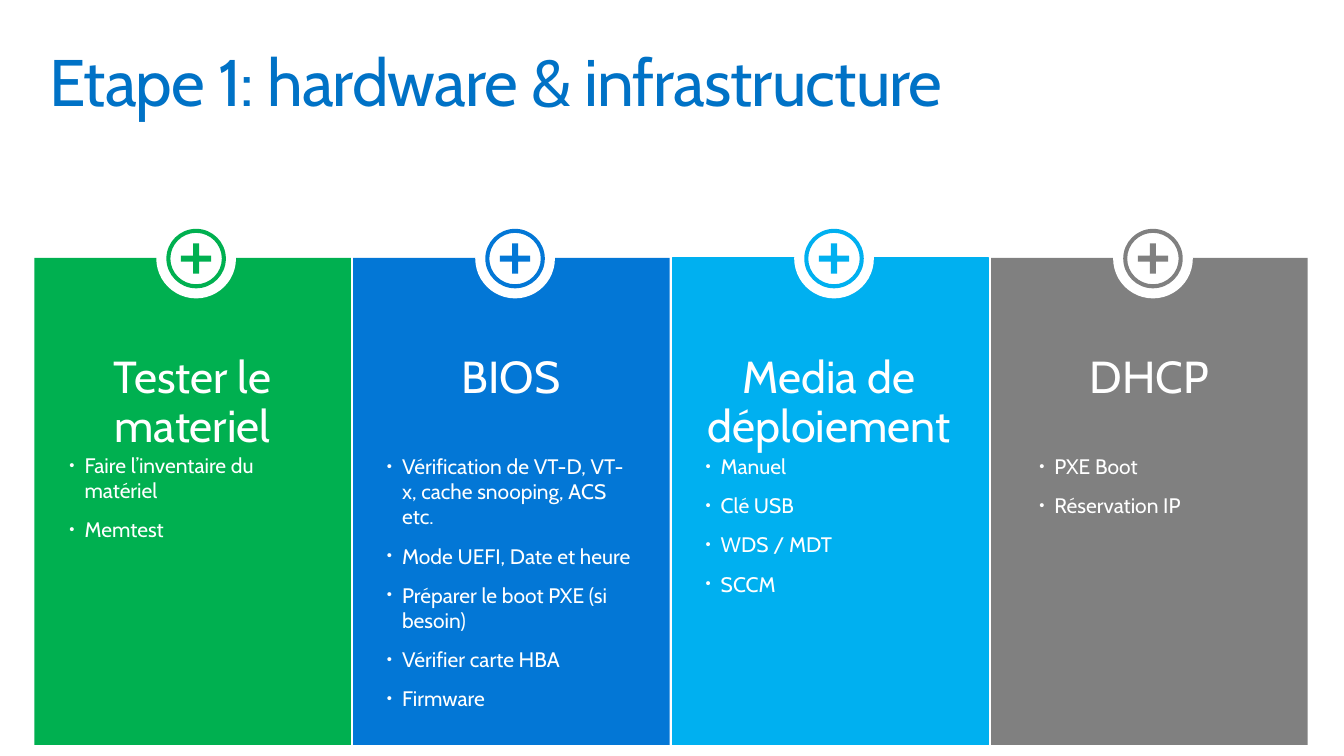
import pptx
import pptx.dml.color
import pptx.enum.shapes
import pptx.enum.text
import pptx.oxml.ns
import pptx.util
from lxml import etree

inch = pptx.util.Inches
qn = pptx.oxml.ns.qn
kind = pptx.enum.shapes.MSO_SHAPE
fit = pptx.enum.text.MSO_AUTO_SIZE


def paint(part, code):
    """Give a fill, line or font part a solid colour."""
    if hasattr(part, "solid"):
        part.solid()
        part.fore_color.rgb = pptx.dml.color.RGBColor.from_string(code)
    else:
        part.color.rgb = pptx.dml.color.RGBColor.from_string(code)


def write(box, lines, size, code):
    """Write one paragraph per line and return the paragraphs."""
    frame = box.text_frame
    frame.word_wrap = True
    for n, line in enumerate(lines):
        para = frame.paragraphs[0] if n == 0 else frame.add_paragraph()
        run = para.add_run()
        run.text = line
        run.font.name = "Cabin"
        run.font.size = pptx.util.Pt(size)
        paint(run.font, code)
    return frame.paragraphs


deck = pptx.Presentation()
deck.slide_width = inch(13.33)
deck.slide_height = inch(7.5)
slide = deck.slides.add_slide(deck.slide_layouts[6])
shapes = slide.shapes

# Title
box = shapes.add_textbox(inch(0.39), inch(0.39), inch(12.55), inch(0.88))
frame = box.text_frame
frame.margin_left = frame.margin_right = inch(0.1)
frame.margin_top = frame.margin_bottom = inch(0.1)
para = write(box, ["Etape 1: hardware & infrastructure"], 47, "0072C6")[0]
para.line_spacing = 0.9
para.runs[0].font._element.set("spc", "-65")

# Column grid: first edge, step, width; top of the panels
left, wide = 0.34, 3.14
step = (9.83 - left) / 3
top, high = 2.56, 4.83
disc, hub = 0.79, 2.565
outer, inner, arm, half = 0.295, 0.255, 0.15, 0.03

# Slot, heading, colour, heading left and height, list left, top and height, points
cols = [
    (3, "DHCP", "808080", (9.83, 0.58), (9.83, 4.45, 0.75),
     ["PXE Boot", "Réservation IP"]),
    (2, "Media de déploiement", "00B0F0", (6.64, 1.05), (6.52, 4.45, 1.53),
     ["Manuel", "Clé USB", "WDS / MDT", "SCCM"]),
    (0, "Tester le materiel", "00B050", (0.34, 0.58), (0.21, 4.44, 1),
     ["Faire l’inventaire du matériel", "Memtest"]),
    (1, "BIOS", "0377D6", (3.49, 0.58), (3.36, 4.45, 2.93),
     ["Vérification de VT-D, VT-x, cache snooping, ACS etc.",
      "Mode UEFI, Date et heure", "Préparer le boot PXE (si besoin)",
      "Vérifier carte HBA", "Firmware"]),
]

# Badge outlines around its centre: two circles of four curves, and a cross
k = 0.55
unit = [(1, 0), (1, k), (k, 1), (0, 1), (-k, 1), (-1, k), (-1, 0),
        (-1, -k), (-k, -1), (0, -1), (k, -1), (1, -k), (1, 0)]
rings = [[(r * a, way * r * b) for a, b in unit]
         for r, way in ((outer, 1), (inner, -1))]
cross = [(-half, -arm), (half, -arm), (half, -half), (arm, -half),
         (arm, half), (half, half), (half, arm), (-half, arm),
         (-half, half), (-arm, half), (-arm, -half), (-half, -half)]

for slot, head, code, (hx, tall), spot, points in cols:
    x = left + slot * step
    mid = x + 1.605

    # Panel
    panel = shapes.add_shape(kind.RECTANGLE, inch(x), inch(top), inch(wide), inch(high))
    panel.shadow.inherit = False
    paint(panel.fill, code)
    if slot == 2:
        paint(panel.line, code)
        panel.line.width = pptx.util.Pt(0.75)
    else:
        panel.line.fill.background()

    # Heading
    box = shapes.add_textbox(inch(hx), inch(3.47), inch(x + wide - hx), inch(tall))
    box.text_frame.margin_left = box.text_frame.margin_right = 0
    para = write(box, [head], 32, "FFFFFF")[0]
    para.alignment = pptx.enum.text.PP_ALIGN.CENTER
    para.line_spacing = pptx.util.Pt(34.4)
    para.space_after = pptx.util.Pt(12)

    # White disc
    plate = shapes.add_shape(kind.OVAL, inch(mid - disc / 2), inch(hub - disc / 2),
                             inch(disc), inch(disc))
    plate.shadow.inherit = False
    paint(plate.fill, "FFFFFF")
    plate.line.fill.background()

    # Plus badge
    pen = None
    for loop in rings + [cross]:
        dots = [(inch(mid + dx), inch(hub + dy)) for dx, dy in loop]
        if pen is None:
            pen = shapes.build_freeform(*dots[0])
        else:
            pen.move_to(*dots[0])
        pen.add_line_segments(dots[1:], close=True)
    badge = pen.convert_to_shape()
    badge.shadow.inherit = False
    paint(badge.fill, code)
    badge.line.fill.background()

    # Each three steps round a circle become one curve
    legs = list(badge._element.iter(qn("a:lnTo")))[:24]
    for n in range(0, 24, 3):
        curve = etree.Element(qn("a:cubicBezTo"))
        legs[n].addprevious(curve)
        for leg in legs[n:n + 3]:
            curve.append(leg[0])
            leg.getparent().remove(leg)

# Bullet lists
for slot, head, code, place, (x, y, tall), points in cols:
    box = shapes.add_textbox(inch(x), inch(y), inch(3.01), inch(tall))
    box.text_frame.auto_size = fit.SHAPE_TO_FIT_TEXT
    for para in write(box, points, 15, "FFFFFF"):
        para.level = 2
        para.space_after = pptx.util.Pt(10)
        props = para._p.get_or_add_pPr()
        props.set("marL", str(inch(0.53)))
        props.set("indent", str(inch(-0.15)))
        for tag, key, value in (("a:buSzPct", "val", "70000"),
                                ("a:buFont", "typeface", "Arial"),
                                ("a:buChar", "char", "•")):
            etree.SubElement(props, qn(tag)).set(key, value)

deck.save("out.pptx")
